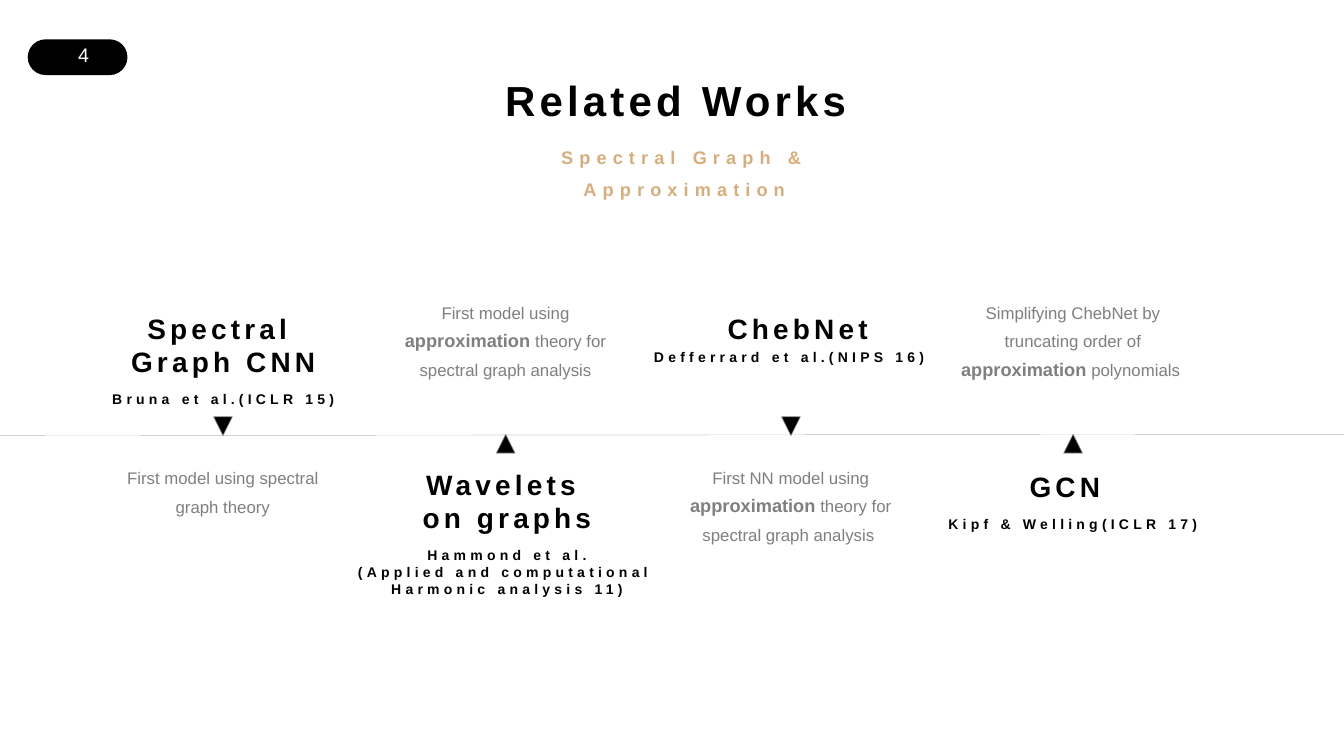
from dataclasses import dataclass
from lxml import etree
from pptx import Presentation, util as u
from pptx.dml.color import RGBColor
from pptx.enum import shapes, text
from pptx.oxml.ns import qn

PX = 9144  # EMU in one px, 100 px to the inch


@dataclass(frozen=True)
class Theme:
    font: str = "Arial"
    black: str = "000000"
    white: str = "FFFFFF"
    gray: str = "7F7F7F"
    gold: str = "D6AE7E"
    title: int = 60
    sub: int = 26
    head: int = 40
    cite: int = 20
    body: int = 24
    key: int = 26
    num: int = 28
    track: int = 600
    wide: int = 870


T = Theme()
WIDE, HIGH = 2667, 1500
AXIS, TIP, PAD = 862, 37, 5

# Content: up = heading above the axis; head and cite = (middle x, top, width, height)
KEY = "approximation"
WORKS = [
    dict(mid=442, up=True,
         head=["Spectral ", "Graph CNN"], head_at=(443, 613, 386, 143),
         cite=["Bruna et al.(ICLR 15)"], cite_at=(443, 770, 460, 43),
         body=["First model using spectral graph theory"], wide=435, tall=120),
    dict(mid=1003, up=False,
         head=["Wavelets ", "on graphs"], head_at=(1006, 922, 364, 143),
         cite=["Hammond et al.", "(Applied and computational ", "Harmonic analysis 11)"],
         cite_at=(1006, 1080, 626, 110),
         body=["First model using ", KEY, " theory for spectral graph analysis"],
         wide=435, tall=177),
    dict(mid=1569, up=True,
         head=["ChebNet"], head_at=(1583, 613, 306, 143),
         cite=["Defferrard et al.(NIPS 16)"], cite_at=(1566, 686, 555, 43),
         body=["First NN model using ", KEY, " theory for spectral graph analysis "],
         wide=435, tall=177),
    dict(mid=2129, up=False,
         head=["GCN"], head_at=(2113, 927, 160, 77),
         cite=["Kipf & Welling(ICLR 17)"], cite_at=(2129, 1017, 513, 43),
         body=["Simplifying ChebNet by truncating order of ", KEY, " polynomials "],
         wide=498, tall=177),
]

deck = Presentation()
deck.slide_width, deck.slide_height = WIDE * PX, HIGH * PX
slide = deck.slides.add_slide(deck.slide_layouts[6])


def rgb(code):
    return RGBColor.from_string(code)


def put_shape(kind, x, y, w, h, line=None):
    shape = slide.shapes.add_shape(kind, x * PX, y * PX, w * PX, h * PX)
    shape.shadow.inherit = False
    shape.fill.solid()
    shape.fill.fore_color.rgb = rgb(T.black)
    if line:
        shape.line.color.rgb = rgb(line)
        shape.line.width = u.Pt(1)
    else:
        shape.line.fill.background()
    return shape


def put_text(mid, y, w, h, lines, size, color, bold=False, track=0,
             wrap=False, lead=None, pad=PAD):
    """Each line is a list of runs; a run equal to KEY is emphasised."""
    box = slide.shapes.add_textbox(round((mid - w / 2) * PX), y * PX, w * PX, h * PX)
    frame = box.text_frame
    frame.word_wrap = wrap
    frame.auto_size = text.MSO_AUTO_SIZE.SHAPE_TO_FIT_TEXT
    frame.margin_left = frame.margin_right = pad * PX
    frame.margin_top = frame.margin_bottom = pad * PX
    for i, runs in enumerate(lines):
        para = frame.add_paragraph() if i else frame.paragraphs[0]
        para.alignment = text.PP_ALIGN.CENTER
        if lead:
            para.line_spacing = lead
        for words in runs:
            run = para.add_run()
            run.text = words
            font = run.font
            font.name = T.font
            font.size = u.Pt(T.key if words == KEY else size)
            font.bold = bold or words == KEY
            font.color.rgb = rgb(color)
            if track:
                font._element.set("spc", str(track))


# Page number
pill = put_shape(shapes.MSO_SHAPE.ROUNDED_RECTANGLE, 55, 78, 198, 71)
pill.adjustments[0] = 0.5
put_text(166, 76, 43, 67, [["4"]], T.num, T.white, pad=10)

# Title and subtitle
put_text(1341, 142, 1158, 110, [["Related Works"]], T.title, T.black,
         bold=True, track=T.track, wrap=True)
put_text(1358, 263, 667, 118, [["Spectral Graph & Approximation"]], T.sub, T.gold,
         bold=True, track=T.wide, wrap=True, lead=1.5)

# Time axis
axis = slide.shapes.add_connector(shapes.MSO_CONNECTOR.STRAIGHT,
                                  PX, (AXIS + 2) * PX, WIDE * PX, AXIS * PX)
axis.line.color.rgb = rgb(T.gray)
axis.line.width = u.Pt(0.25)
etree.SubElement(axis._element.spPr, qn("a:effectLst"))

# Works along the axis
for work in WORKS:
    up, mid = work["up"], work["mid"]
    mark = put_shape(shapes.MSO_SHAPE.ISOSCELES_TRIANGLE, mid - TIP // 2,
                     AXIS + 2 - TIP if up else AXIS, TIP, TIP, T.gray)
    mark.rotation = 180 if up else 0
    for part, size in (("head", T.head), ("cite", T.cite)):
        put_text(*work[part + "_at"], [[line] for line in work[part]],
                 size, T.black, bold=True, track=T.track)
    put_text(mid, 906 if up else 578, work["wide"], work["tall"], [work["body"]],
             T.body, T.gray, wrap=True, lead=u.Pt(41))

deck.save("out.pptx")
